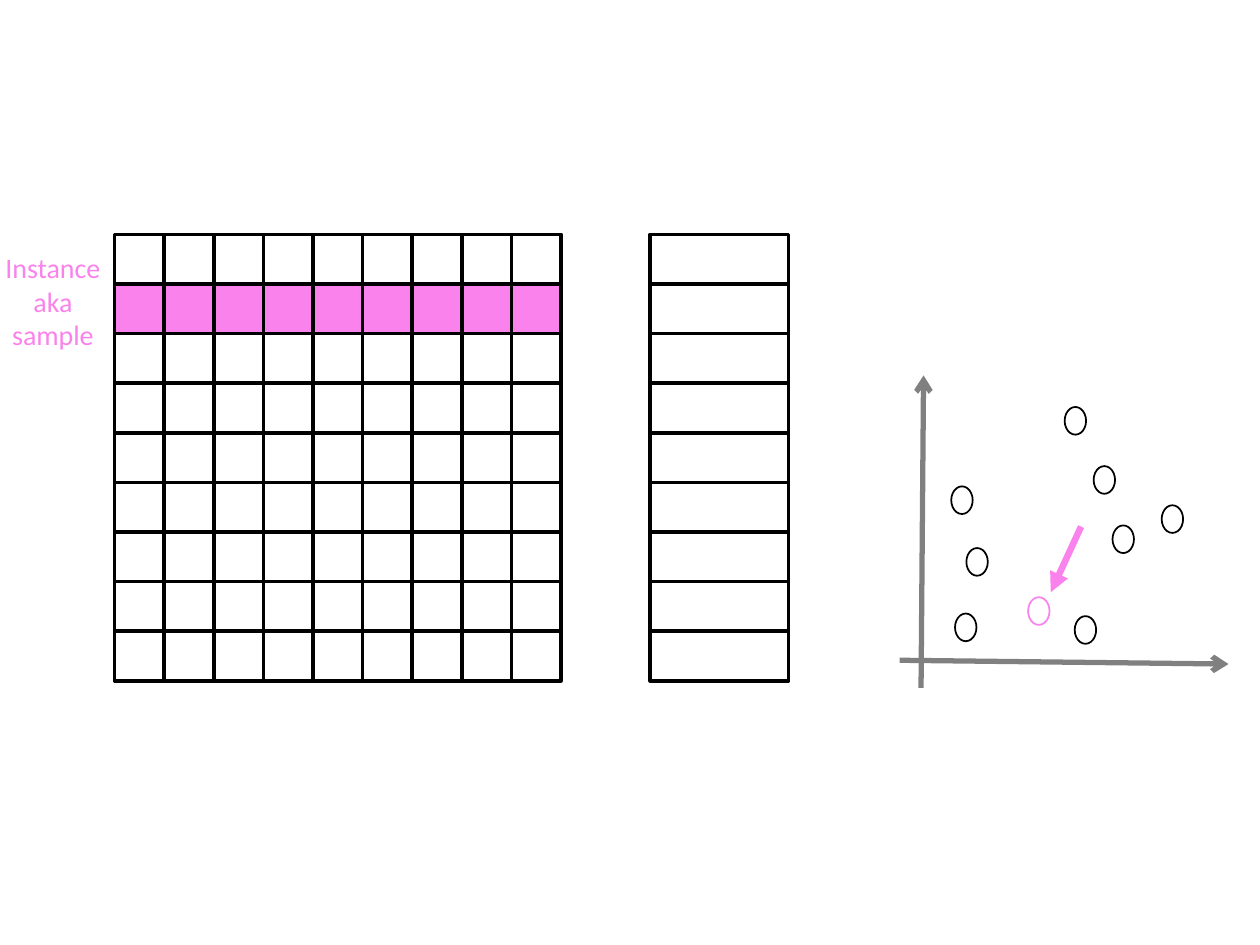
from lxml import etree
from pptx import Presentation
from pptx import util as u
from pptx.dml.color import RGBColor
from pptx.enum import shapes, text
from pptx.oxml.ns import qn

THEME = {
    "ink": RGBColor.from_string("000000"),
    "highlight": RGBColor.from_string("FA82EC"),
    "axis": RGBColor.from_string("808080"),
    "font": "Calibri",
    "label": 16,
    "cell_line": 2,
    "point_line": 1,
    "axis_line": 3,
    "pointer_line": 3.75,
}

deck = Presentation()
deck.slide_width, deck.slide_height = u.Inches(10), u.Inches(7.5)
slide = deck.slides.add_slide(deck.slide_layouts[6])


def share(*percents):
    """Turn alternating x, y percentages of the slide into lengths."""
    sides = (deck.slide_width, deck.slide_height)
    return [int(sides[i % 2] * p / 100) for i, p in enumerate(percents)]


def add_label(box, lines, *, size, color, font, align):
    frame = slide.shapes.add_textbox(*box).text_frame
    frame.word_wrap = True
    frame.text = "\n".join(lines)
    for line in frame.paragraphs:
        line.alignment = align
        line.font.size = u.Pt(size)
        line.font.name = font
        line.font.color.rgb = color


# Data matrix with one highlighted sample, and the target column beside it
COUNT, SAMPLE_ROW = 9, 1
PITCH = u.Inches(3.15) // (COUNT - 1)
MATRIX_LEFT, TARGET_LEFT, GRID_TOP = u.Inches(0.91), u.Inches(5.16), u.Inches(1.86)
TARGET_WIDTH = u.Inches(1.1)
columns = [(MATRIX_LEFT + i * PITCH, PITCH, True) for i in range(COUNT)]
columns.append((TARGET_LEFT, TARGET_WIDTH, False))

for row in range(COUNT):
    for left, width, in_matrix in columns:
        cell = slide.shapes.add_shape(
            shapes.MSO_SHAPE.RECTANGLE, left, GRID_TOP + row * PITCH, width, PITCH)
        cell.shadow.inherit = False
        cell.line.color.rgb = THEME["ink"]
        cell.line.width = u.Pt(THEME["cell_line"])
        if in_matrix and row == SAMPLE_ROW:
            cell.fill.solid()
            cell.fill.fore_color.rgb = THEME["highlight"]
        else:
            cell.fill.background()

add_label(share(-1.7, 25.87, 11.8, 12.13), ["Instance aka", "sample"],
          size=THEME["label"], color=THEME["highlight"], font=THEME["font"],
          align=text.PP_ALIGN.CENTER)

# Scatter plot: each sample is a point, placed by its left and top
SAMPLE_POINT = (81.6, 63.2)
points = [(75.5, 51.47), (84.5, 43.07), SAMPLE_POINT, (86.8, 49.33), (76.7, 58),
          (85.3, 65.2), (75.8, 64.93), (92.2, 53.47), (88.3, 55.6)]
for spot in points:
    point = slide.shapes.add_shape(shapes.MSO_SHAPE.OVAL, *share(*spot, 1.7, 2.93))
    point.shadow.inherit = False
    point.fill.background()
    point.line.color.rgb = THEME["highlight" if spot == SAMPLE_POINT else "ink"]
    point.line.width = u.Pt(THEME["point_line"])

# Two axes and the pointer to the sample: ends, colour, width, arrowhead
arrows = [
    ((73.1, 72.8, 73.3, 39.73), "axis", "axis_line", "arrow"),
    ((71.4, 69.87, 97.5, 70.27), "axis", "axis_line", "arrow"),
    ((85.8, 55.73, 83.4, 62.67), "highlight", "pointer_line", "triangle"),
]
for ends, color, width, head in arrows:
    arrow = slide.shapes.add_connector(shapes.MSO_CONNECTOR.STRAIGHT, *share(*ends))
    arrow.line.color.rgb = THEME[color]
    arrow.line.width = u.Pt(THEME[width])
    etree.SubElement(arrow.line._get_or_add_ln(), qn("a:tailEnd"), type=head)
    etree.SubElement(arrow._element.spPr, qn("a:effectLst"))

deck.save("out.pptx")
